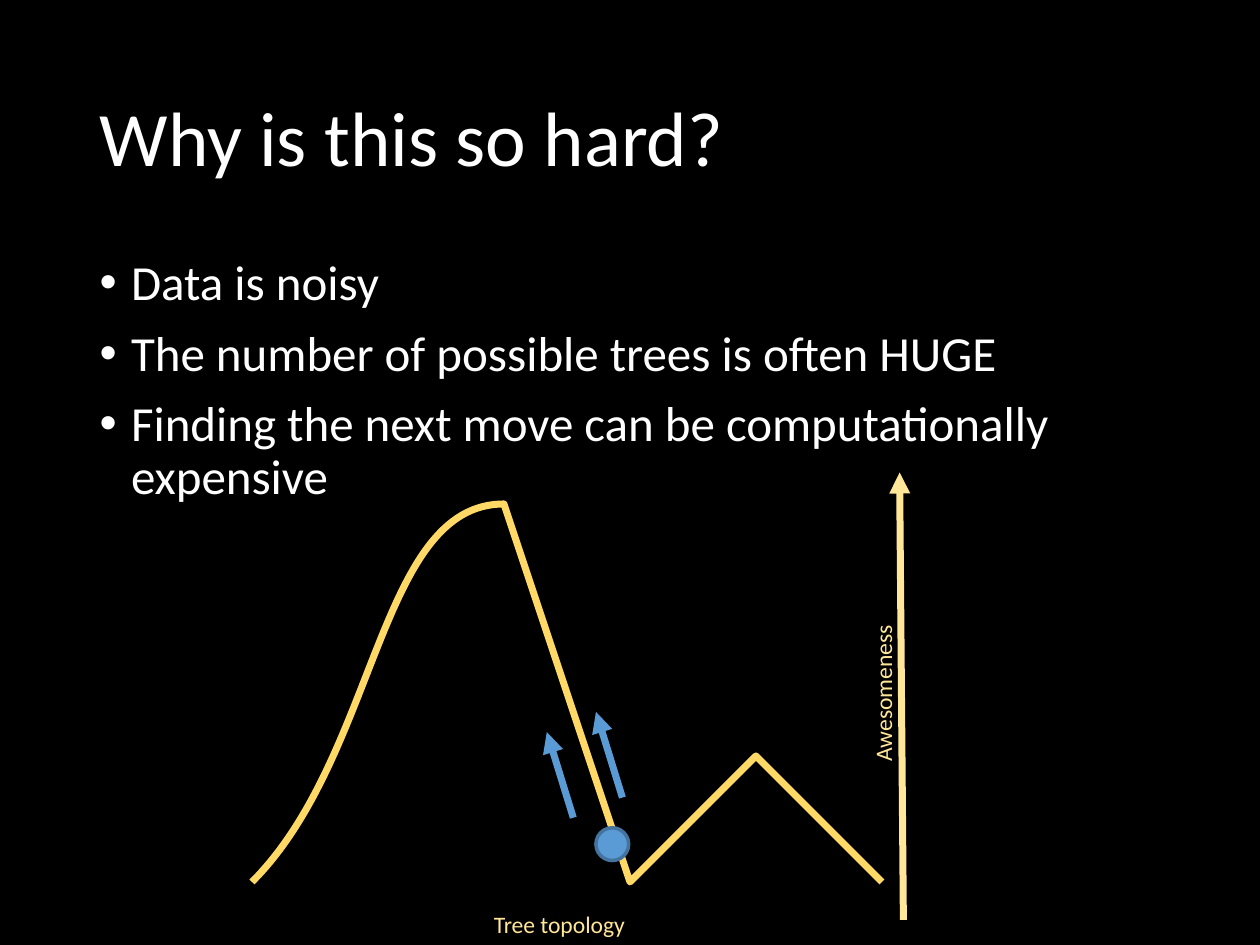
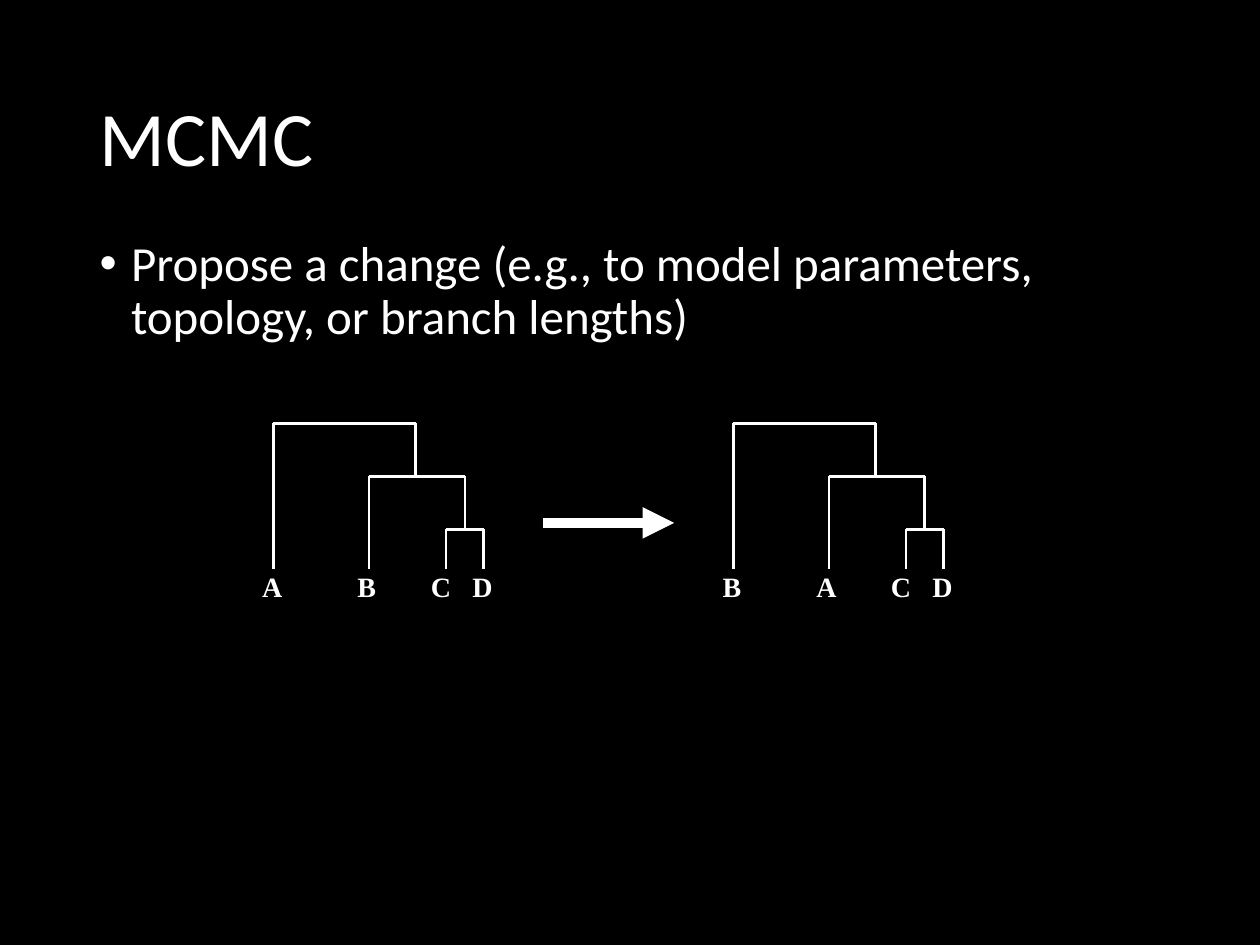
import pptx
import pptx.util
import pptx.dml.color
import pptx.enum.shapes
import pptx.enum.text
import pptx.oxml
import pptx.oxml.ns

Inches, Pt = pptx.util.Inches, pptx.util.Pt
RGBColor = pptx.dml.color.RGBColor
PP_ALIGN = pptx.enum.text.PP_ALIGN
ANCHOR = pptx.enum.text.MSO_ANCHOR
qn = pptx.oxml.ns.qn

# Shared look
BLACK = RGBColor(0x00, 0x00, 0x00)
WHITE = RGBColor(0xFF, 0xFF, 0xFF)
GOLD = RGBColor(0xFF, 0xD9, 0x66)
PALE_GOLD = RGBColor(0xFF, 0xE6, 0x99)
BLUE = RGBColor(0x5B, 0x9B, 0xD5)
DARK_BLUE = RGBColor(0x43, 0x73, 0x9E)
SANS, SERIF = "Calibri", "Times New Roman"
LEFT, WIDTH = 0.69, 8.62
TITLE_TOP, TITLE_HEIGHT, BODY_HEIGHT = 0.4, 1.45, 4.76

# Content: slide 1
HARD_TITLE = "Why is this so hard?"
HARD_POINTS = [
    "Data is noisy",
    "The number of possible trees is often HUGE",
    "Finding the next move can be computationally expensive",
]
# Landscape: a start, then two control points and an end for each bend
LANDSCAPE = [
    (2.04, 7.3),
    (2.68, 5.78), (3.31, 4.26), (3.81, 4.2),
    (4.31, 4.15), (4.67, 6.7), (5.03, 6.99),
    (5.39, 7.27), (5.66, 5.88), (5.95, 5.92),
    (6.25, 5.97), (6.81, 7.28), (6.81, 7.28),
]
CLIMBER_CENTER, CLIMBER_SIZE = (4.86, 6.7), 0.26
CLIMB_STARTS, CLIMB_STEP = [(4.94, 6.33), (4.55, 6.49)], (-0.21, -0.68)
AWESOMENESS_AXIS = (7.17, 7.3), (7.14, 3.75)
AXIS_LABELS = [
    ("Awesomeness", (6.36, 5.34, 1.3, 0.33), 270),
    ("Tree topology", (2.81, 7.17, 3.26, 0.33), 0),
]

# Content: slide 2
MCMC_TITLE = "MCMC"
MCMC_POINTS = ["Propose a change (e.g., to model parameters, topology, or branch lengths)"]
TREES = [(2.17, "ABCD"), (5.82, "BACD")]     # left edge, leaf names
LEAF_OFFSETS = [0, 0.76, 1.37, 1.67]
JOIN_OFFSETS = [1.13, 1.52]                  # stems down to the next split
SPLIT_ROWS, LEAF_ROW = [3.36, 3.78, 4.2], 4.52
LABEL_OFFSETS = [-0.01, 0.74, 1.33, 1.66]
LABEL_TOP, LABEL_WIDTH, LABEL_HEIGHT = 4.47, 0.4, 0.37
MOVE_ARROW = (4.31, 4.15), (5.35, 4.15)


def style(p, size, color, font=SANS, bold=False):
    for r in p.runs:
        r.font.name, r.font.size, r.font.bold = font, Pt(size), bold
        r.font.color.rgb = color


def place(sp, left, top, width, height):
    sp.left, sp.top = Inches(left), Inches(top)
    sp.width, sp.height = Inches(width), Inches(height)


def add_slide(prs, title, points, body_top):
    s = prs.slides.add_slide(prs.slide_layouts[1])
    heading, body = s.placeholders[0], s.placeholders[1]
    place(heading, LEFT, TITLE_TOP, WIDTH, TITLE_HEIGHT)
    place(body, LEFT, body_top, WIDTH, BODY_HEIGHT)
    heading.text_frame.text = title
    heading.text_frame.vertical_anchor = ANCHOR.MIDDLE
    body.text_frame.text = "\n".join(points)
    for sp in (heading, body):
        sp.text_frame.auto_size = pptx.enum.text.MSO_AUTO_SIZE.NONE
        for p in sp.text_frame.paragraphs:
            p.alignment, p.line_spacing = PP_ALIGN.LEFT, 0.9
            style(p, 44 if sp is heading else 28, WHITE)
    for p in body.text_frame.paragraphs:
        p.space_before = Pt(10)
        pPr = p._p.get_or_add_pPr()
        pPr.set("marL", str(Inches(0.25)))
        pPr.set("indent", str(Inches(-0.25)))
    return s


def add_line(shapes, start, end, color, width, arrow=False):
    ends = [Inches(v) for v in (*start, *end)]
    c = shapes.add_connector(pptx.enum.shapes.MSO_CONNECTOR.STRAIGHT, *ends)
    c.line.color.rgb, c.line.width = color, Pt(width)
    if arrow:
        ln = c.line._get_or_add_ln()
        pptx.oxml.xmlchemy.OxmlElement  # noqa
        ln.append(pptx.oxml.parse_xml(
            '<a:tailEnd %s type="triangle"/>' % pptx.oxml.ns.nsdecls("a")))
    c._element.spPr.append(pptx.oxml.parse_xml(
        "<a:effectLst %s/>" % pptx.oxml.ns.nsdecls("a")))


def add_label(shapes, text, box, size, color, font=SANS, bold=False, inset=0.05):
    sp = shapes.add_textbox(*[Inches(v) for v in box])
    tf = sp.text_frame
    tf.word_wrap = True
    tf.margin_left = tf.margin_right = Inches(inset)
    tf.text = text
    tf.paragraphs[0].alignment = PP_ALIGN.CENTER
    style(tf.paragraphs[0], size, color, font, bold)
    return sp


def add_curve(shapes, points, color, width):
    builder = shapes.build_freeform(*points[0], scale=Inches(1))
    builder.add_line_segments(points[1:], close=False)
    sp = builder.convert_to_shape()
    sp.shadow.inherit = False
    sp.fill.background()
    sp.line.color.rgb, sp.line.width = color, Pt(width)
    # Each three straight segments become one Bezier bend
    segments = list(sp._element.iter(qn("a:lnTo")))
    for i in range(0, len(segments), 3):
        bend = segments[i]
        for extra in segments[i + 1:i + 3]:
            bend.append(extra[0])
            extra.getparent().remove(extra)
        bend.tag = qn("a:cubicBezTo")


def add_tree(s, left, names):
    shapes = s.shapes.add_group_shape().shapes
    leaves = [left + d for d in LEAF_OFFSETS]
    joins = [left + d for d in JOIN_OFFSETS] + [leaves[-1]]
    bottoms = SPLIT_ROWS[1:] + [LEAF_ROW]
    for leaf, join, row, bottom in zip(leaves, joins, SPLIT_ROWS, bottoms):
        for start, end in [((leaf, row), (leaf, LEAF_ROW)),
                           ((leaf, row), (join, row)),
                           ((join, row), (join, bottom))]:
            add_line(shapes, start, end, WHITE, 1.5)
    for name, offset in zip(names, LABEL_OFFSETS):
        box = (left + offset - LABEL_WIDTH / 2, LABEL_TOP, LABEL_WIDTH, LABEL_HEIGHT)
        add_label(shapes, name, box, 16, WHITE, SERIF, True)


prs = pptx.Presentation()
prs.slide_width, prs.slide_height = Inches(10), Inches(7.5)
background = prs.slide_master.background.fill
background.solid()
background.fore_color.rgb = BLACK

# Slide 1: hill climbing on a landscape
s = add_slide(prs, HARD_TITLE, HARD_POINTS, 2)
add_curve(s.shapes, LANDSCAPE, GOLD, 4)
cx, cy = CLIMBER_CENTER
climber = s.shapes.add_shape(
    pptx.enum.shapes.MSO_SHAPE.OVAL, Inches(cx - CLIMBER_SIZE / 2),
    Inches(cy - CLIMBER_SIZE / 2), Inches(CLIMBER_SIZE), Inches(CLIMBER_SIZE))
climber.shadow.inherit = False
climber.fill.solid()
climber.fill.fore_color.rgb = BLUE
climber.line.color.rgb, climber.line.width = DARK_BLUE, Pt(2)
for x, y in CLIMB_STARTS:
    add_line(s.shapes, (x, y), (x + CLIMB_STEP[0], y + CLIMB_STEP[1]), BLUE, 4, True)
add_line(s.shapes, *AWESOMENESS_AXIS, PALE_GOLD, 4, True)
for text, box, rotation in AXIS_LABELS:
    add_label(s.shapes, text, box, 13.5, PALE_GOLD).rotation = rotation

# Slide 2: a proposed swap between two trees
s = add_slide(prs, MCMC_TITLE, MCMC_POINTS, TITLE_TOP + TITLE_HEIGHT)
for left, names in TREES:
    add_tree(s, left, names)
add_line(s.shapes, *MOVE_ARROW, WHITE, 6, True)

prs.save("out.pptx")
